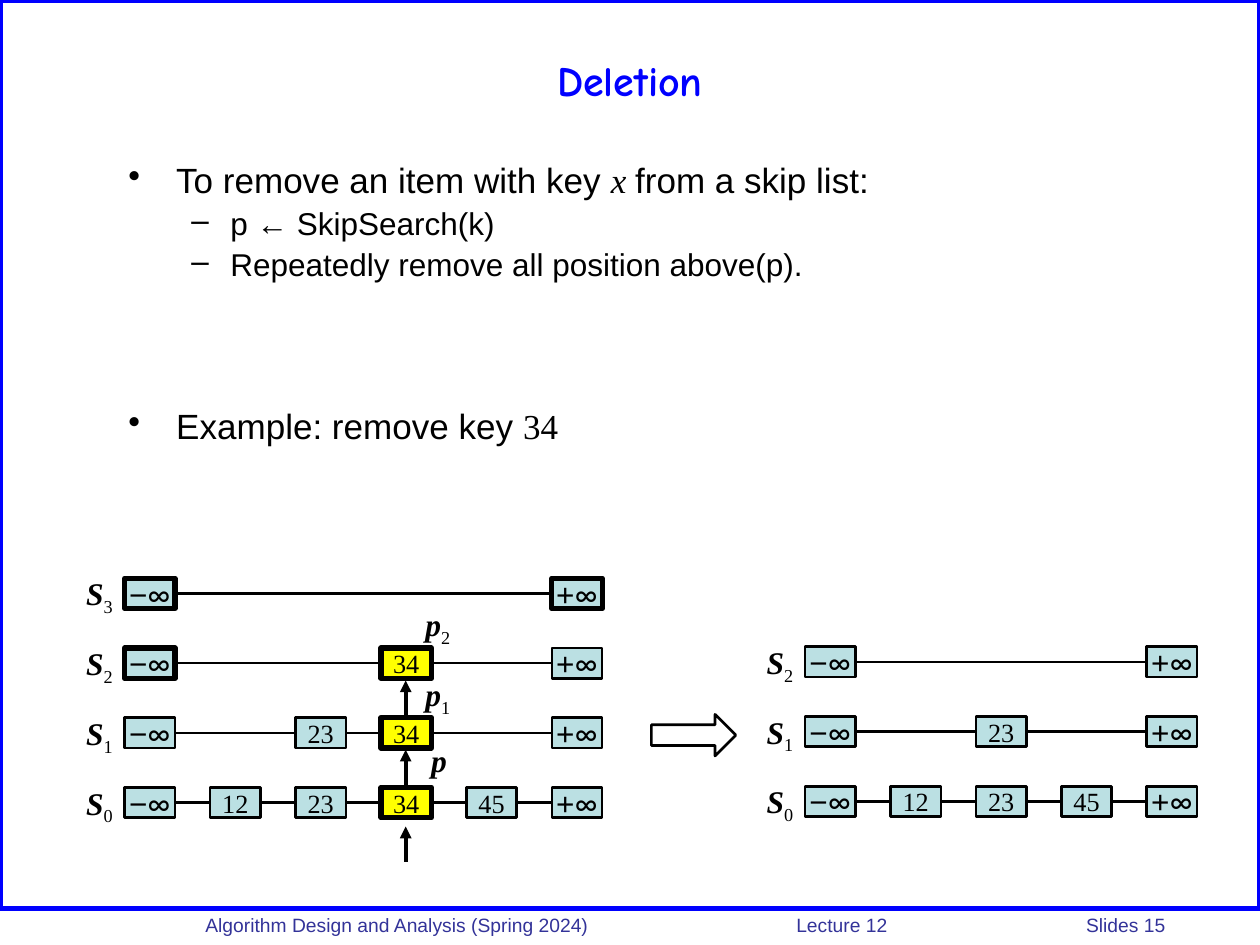
from itertools import pairwise

from lxml import etree
from pptx import Presentation
from pptx.dml.color import RGBColor
from pptx.enum.shapes import MSO_CONNECTOR, MSO_SHAPE
from pptx.enum.text import MSO_ANCHOR, MSO_AUTO_SIZE, PP_ALIGN
from pptx.oxml.ns import qn
from pptx.util import Inches, Pt

STRAIGHT = MSO_CONNECTOR.STRAIGHT
RECTANGLE, RIGHT_ARROW = MSO_SHAPE.RECTANGLE, MSO_SHAPE.RIGHT_ARROW
MIDDLE, TOP = MSO_ANCHOR.MIDDLE, MSO_ANCHOR.TOP
CENTER, LEFT = PP_ALIGN.CENTER, PP_ALIGN.LEFT
GROW = MSO_AUTO_SIZE.SHAPE_TO_FIT_TEXT

COLORS = {
    "ink": "000000", "blue": "0000FF", "footer": "333399",
    "node": "BBE0E3", "removed": "FFFF00",
}
SANS, SERIF, TITLE, SYMBOL = "Arial", "Times New Roman", "Comic Neue", "Lato"
LOW, HIGH = "−∞", "+∞"
NODE_WIDTH, NODE_HEIGHT = 0.4, 0.24
COLUMN_STEP, LEVEL_STEP = 3.39 / 5, 1.66 / 3
LEFT_SIDE, RIGHT_SIDE = 1, 3  # connection sites of a rectangle


class SkipListSlide:
    """Holds the colours and the page that the elements are drawn on."""

    def __init__(self, page, colors):
        self.page = page
        self.colors = {name: RGBColor.from_string(value) for name, value in colors.items()}

    def style(self, font, size, name, color="ink", bold=False, italic=False):
        font.size, font.name = Pt(size), name
        font.bold, font.italic = bold, italic
        font.color.rgb = self.colors[color]

    def shape(self, kind, left, top, width, height, fill=None, line="ink", weight=1.5):
        shape = self.page.shapes.add_shape(
            kind, Inches(left), Inches(top), Inches(width), Inches(height))
        shape.shadow.inherit = False
        if fill:
            shape.fill.solid()
            shape.fill.fore_color.rgb = self.colors[fill]
        else:
            shape.fill.background()
        shape.line.color.rgb = self.colors[line]
        shape.line.width = Pt(weight)
        return shape

    def text_box(self, left, top, width, height, text, anchor=TOP, align=LEFT, wrap=True):
        box = self.page.shapes.add_textbox(
            Inches(left), Inches(top), Inches(width), Inches(height))
        frame = box.text_frame
        frame.word_wrap = wrap
        frame.vertical_anchor = anchor
        frame.text = text
        for para in frame.paragraphs:
            para.alignment = align
        return frame

    def spans(self, para, pieces):
        """Fill a paragraph with (text, style) pieces."""
        for text, style in pieces:
            span = para.add_run()
            span.text = text
            self.style(span.font, **style)

    def bullet(self, para, char, margin, hanging, space_before):
        properties = para._p.get_or_add_pPr()
        properties.set("marL", str(Inches(margin)))
        properties.set("indent", str(-Inches(hanging)))
        para.line_spacing = 0.9
        para.space_before = Pt(space_before)
        etree.SubElement(properties, qn("a:buChar"), char=char)

    def node(self, left, top, key, fill, weight):
        shape = self.shape(RECTANGLE, left, top, NODE_WIDTH, NODE_HEIGHT, fill, weight=weight)
        frame = shape.text_frame
        frame.word_wrap = False
        frame.vertical_anchor = MIDDLE
        para = frame.paragraphs[0]
        para.alignment = CENTER
        if key in (LOW, HIGH):
            self.spans(para, [(key[0], dict(size=18, name=SANS)),
                              (key[1], dict(size=18, name=SYMBOL))])
        else:
            self.spans(para, [(key, dict(size=15, name=SERIF))])
        return shape

    def label(self, left, top, width, letter, index=""):
        """Write a bold italic letter with a plain subscript."""
        frame = self.text_box(left, top, width, 0.4, "", align=CENTER, wrap=False)
        frame.auto_size = GROW
        para = frame.paragraphs[0]
        self.spans(para, [(letter, dict(size=18, name=SERIF, bold=True, italic=True))])
        if index:
            self.spans(para, [(index, dict(size=18, name=SERIF))])
            para.runs[-1].font._element.set("baseline", "-25000")

    def line(self, start=(0, 0), end=(0, 0), weight=1.5):
        line = self.page.shapes.add_connector(
            STRAIGHT, *(Inches(value) for value in (*start, *end)))
        line.line.color.rgb = self.colors["ink"]
        line.line.width = Pt(weight)
        etree.SubElement(line._element.spPr, qn("a:effectLst"))
        return line

    def up_arrow(self, x, tip, tail):
        arrow = self.line((x, tip), (x, tail), 2.25)
        etree.SubElement(arrow.line._get_or_add_ln(), qn("a:headEnd"), type="triangle")

    def skip_list(self, left, base, columns, levels, thick=()):
        """Draw linked rows of nodes, with level 0 at the base."""
        for level, keys in enumerate(levels):
            top = base - level * LEVEL_STEP
            self.label(left - 0.41, top - 0.08, 0.42, "S", str(level))
            nodes = []
            for key in keys:
                removed = key == "34"
                weight = 3 if removed or (level, key) in thick else 1.5
                x = left + columns.index(key) * COLUMN_STEP
                nodes.append(self.node(x, top, key, "removed" if removed else "node", weight))
            for before, after in pairwise(nodes):
                link = self.line()
                link.begin_connect(before, RIGHT_SIDE)
                link.end_connect(after, LEFT_SIDE)

    def footer(self, text, tabs):
        frame = self.text_box(1.33, 7.2, 8.67, 0.26, text)
        frame.margin_left = Inches(0.3)
        para = frame.paragraphs[0]
        stops = etree.SubElement(para._p.get_or_add_pPr(), qn("a:tabLst"))
        for position in tabs:
            etree.SubElement(stops, qn("a:tab"), pos=str(Inches(position)), algn="l")
        for span in para.runs:
            self.style(span.font, 11, SANS, "footer")


def main():
    deck = Presentation()
    deck.slide_width, deck.slide_height = Inches(10), Inches(7.5)
    slide = SkipListSlide(deck.slides.add_slide(deck.slide_layouts[6]), COLORS)

    slide.shape(RECTANGLE, 0, 0, 10, 7.21, line="blue", weight=3)
    slide.footer("Algorithm Design and Analysis (Spring 2024)\tLecture 12\tSlides 15", (4.69, 6.99))
    title = slide.text_box(0.5, 0.17, 9, 0.92, "Deletion", MIDDLE, CENTER)
    slide.style(title.paragraphs[0].runs[0].font, 24, TITLE, "blue", bold=True)

    main_text, sub_text = dict(size=20, name=SANS), dict(size=18, name=SANS)
    top_level, sub_level = ("•", 0.38, 0.38), ("–", 0.81, 0.31)
    body = [
        (top_level, 0, [("To remove an item with key ", main_text),
                        ("x ", dict(size=20, name=SERIF, italic=True)),
                        ("from a skip list:", main_text)]),
        (sub_level, 4, [("p ← SkipSearch(k)", sub_text)]),
        (sub_level, 4, [("Repeatedly remove all position above(p).", sub_text)]),
        (top_level, 72, [("Example: remove key ", main_text),
                         ("34", dict(size=20, name=SERIF))]),
    ]
    frame = slide.text_box(0.92, 1.25, 8.42, 2.58, "")
    for number, (bullet, space_before, pieces) in enumerate(body):
        para = frame.add_paragraph() if number else frame.paragraphs[0]
        slide.bullet(para, *bullet, space_before)
        slide.spans(para, pieces)

    before = [LOW, "12", "23", "34", "45", HIGH]
    slide.skip_list(0.99, 6.25, before,
                    [before, [LOW, "23", "34", HIGH], [LOW, "34", HIGH], [LOW, HIGH]],
                    thick={(2, LOW), (3, LOW), (3, HIGH)})
    after = [LOW, "12", "23", "45", HIGH]
    slide.skip_list(6.39, 6.24, after, [after, [LOW, "23", HIGH], [LOW, HIGH]])

    slide.shape(RIGHT_ARROW, 5.17, 5.67, 0.67, 0.33)
    slide.label(3.32, 5.83, 0.33, "p")
    slide.label(3.27, 5.31, 0.41, "p", "1")
    slide.label(3.27, 4.75, 0.41, "p", "2")
    for tip in (5.4, 5.95, 6.56):
        slide.up_arrow(3.22, tip, tip + 0.28)

    deck.save("out.pptx")


if __name__ == "__main__":
    main()
